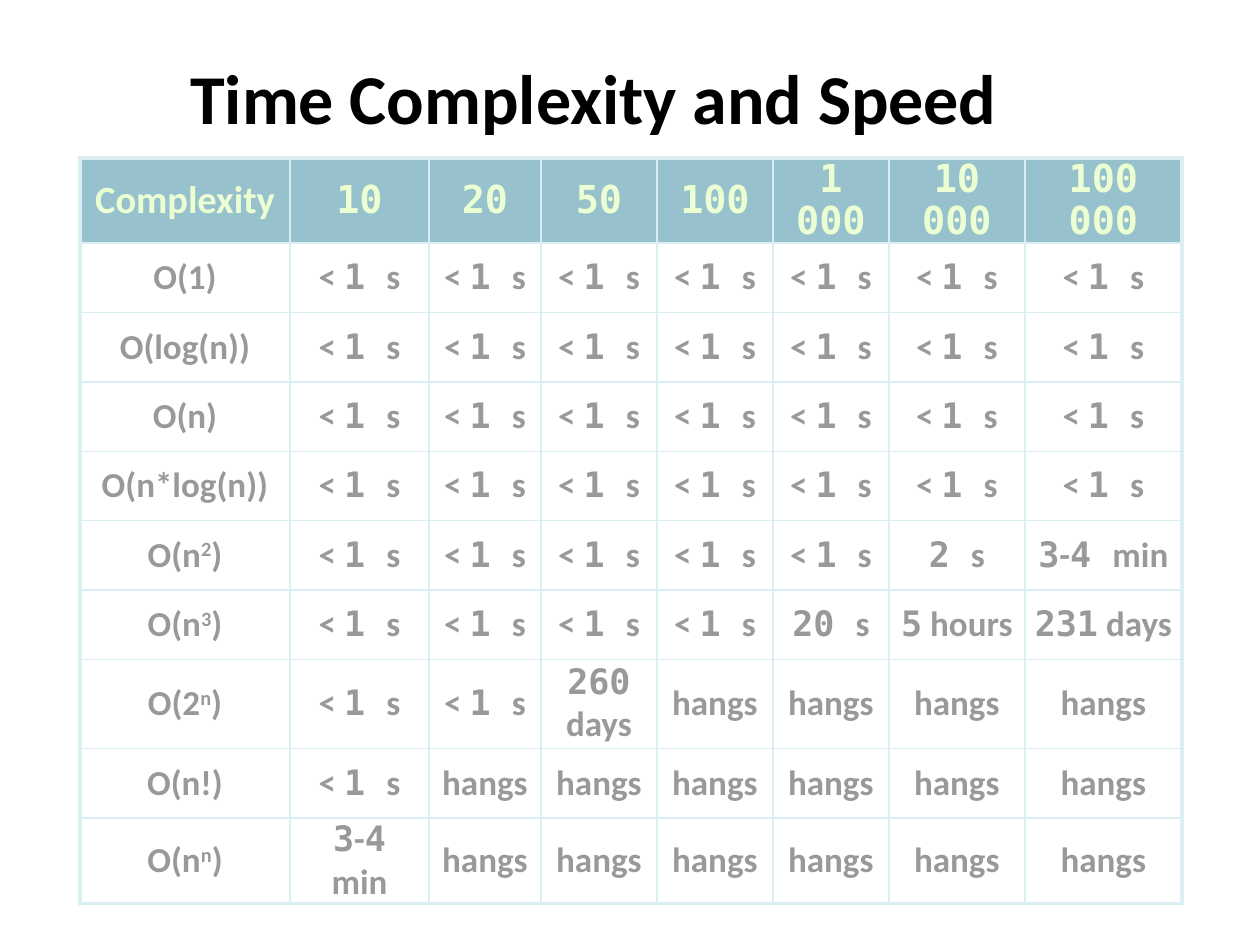
import pptx
import pptx.dml.color
import pptx.enum.text
import pptx.oxml
import pptx.oxml.ns
import pptx.util
from lxml import etree

COLORS = {
    "title": "000000",
    "header_fill": "31859C",
    "header_text": "EBFFD2",
    "body_text": "999999",
    "border": "DBEEF4",
}
TEXT_FONT = "Calibri"
NUMBER_FONT = "DejaVu Sans Mono"
PIXEL = 914400 / 126

# Runs are divided by "|"; a run that starts with a digit is set in the
# number font, and one that starts with "^" is raised.
FAST = "< |1 |s"
MINUTES = "3|-|4 |min"
HANGS = "hangs"
ROWS = [
    ["Complexity", "10", "20", "50", "100", "1 000", "10 000", "100 000"],
    ["O(1)"] + [FAST] * 7,
    ["O(log(n))"] + [FAST] * 7,
    ["O(n)"] + [FAST] * 7,
    ["O(n*log(n))"] + [FAST] * 7,
    ["O(n|^2|)"] + [FAST] * 5 + ["2 |s", MINUTES],
    ["O(n|^3|)"] + [FAST] * 4 + ["20 |s", "5| hours", "231| days"],
    ["O(2|^n|)"] + [FAST] * 2 + ["260 |days"] + [HANGS] * 4,
    ["O(n!)", FAST] + [HANGS] * 6,
    ["O(n|^n|)", MINUTES] + [HANGS] * 6,
]
COLUMN_WIDTHS = [210, 139, 112, 116, 116, 116, 136, 157]
TABLE_HEIGHT = 714
TALL_ROW, TALL_HEIGHT = 7, 89


def emu(pixels):
    """Turn pixels into EMU."""
    return pptx.util.Emu(round(pixels * PIXEL))


def rgb(name):
    """Look up a named colour."""
    return pptx.dml.color.RGBColor.from_string(COLORS[name])


def add_element(parent, tag, **attributes):
    """Append a DrawingML element and return it."""
    return etree.SubElement(parent, pptx.oxml.ns.qn(tag), attributes)


class SlideBuilder:
    """Holds the style and the current slide."""

    def __init__(self, presentation):
        """Add a title-only slide."""
        self.slide = presentation.slides.add_slide(presentation.slide_layouts[5])

    def style(self, paragraph, size, color):
        """Centre a paragraph and set its bold font."""
        paragraph.alignment = pptx.enum.text.PP_ALIGN.CENTER
        paragraph.font.size = pptx.util.Pt(size)
        paragraph.font.name = TEXT_FONT
        paragraph.font.bold = True
        paragraph.font.color.rgb = rgb(color)

    def title(self, text, left, top, width, height):
        """Place and format the title."""
        shape = self.slide.shapes.title
        shape.left, shape.top = emu(left), emu(top)
        shape.width, shape.height = emu(width), emu(height)
        frame = shape.text_frame
        frame.text = text
        frame.word_wrap = True
        frame.auto_size = pptx.enum.text.MSO_AUTO_SIZE.NONE
        frame.vertical_anchor = pptx.enum.text.MSO_ANCHOR.TOP
        paragraph = frame.paragraphs[0]
        self.style(paragraph, 40, "title")
        paragraph.line_spacing = 0.97

    def runs(self, paragraph, text):
        """Write marked-up text as runs."""
        for part in text.split("|"):
            run = paragraph.add_run()
            run.text = part.lstrip("^")
            if part.startswith("^"):
                run.font._element.set("baseline", "30000")
            elif part[0].isdigit():
                run.font.name = NUMBER_FONT

    def borders(self, cell, outer_sides):
        """Draw cell borders, thicker on the outer sides."""
        properties = cell._tc.get_or_add_tcPr()
        for index, side in enumerate("LRTB"):
            points = 2.25 if side in outer_sides else 1
            line = pptx.oxml.parse_xml(
                f'<a:ln{side} {pptx.oxml.ns.nsdecls("a")} w="{pptx.util.Pt(points)}">'
                f'<a:solidFill><a:srgbClr val="{COLORS["border"]}"/></a:solidFill>'
                f'</a:ln{side}>')
            properties.insert(index, line)

    def cell(self, cell, text, is_header):
        """Fill and format one cell."""
        cell.margin_left = cell.margin_right = emu(9)
        cell.margin_top = cell.margin_bottom = 0
        cell.vertical_anchor = pptx.enum.text.MSO_ANCHOR.MIDDLE
        paragraph = cell.text_frame.paragraphs[0]
        self.runs(paragraph, text)
        if is_header:
            self.style(paragraph, 22, "header_text")
            paragraph.line_spacing = 0.95
            spacing = paragraph._p.get_or_add_pPr().get_or_add_spcBef()
            add_element(spacing, "a:spcPct", val="40000")
            cell.fill.solid()
            cell.fill.fore_color.rgb = rgb("header_fill")
            color = cell._tc.tcPr.find(".//" + pptx.oxml.ns.qn("a:srgbClr"))
            add_element(color, "a:alpha", val="50000")
        else:
            self.style(paragraph, 20, "body_text")
            paragraph.space_before = paragraph.space_after = pptx.util.Pt(3)
            cell.fill.background()
        # Runs carry the paragraph's look so that every viewer shows it.
        for run in paragraph.runs:
            run.font.size = paragraph.font.size
            run.font.bold = True
            run.font.color.rgb = paragraph.font.color.rgb
            run.font.name = run.font.name or TEXT_FONT

    def table(self, rows, left, top):
        """Build the table with its header row."""
        last_row, last_column = len(rows) - 1, len(COLUMN_WIDTHS) - 1
        table = self.slide.shapes.add_table(
            len(rows), len(COLUMN_WIDTHS), emu(left), emu(top),
            emu(sum(COLUMN_WIDTHS)), emu(TABLE_HEIGHT)).table
        table.first_row = table.horz_banding = False
        for column, width in zip(table.columns, COLUMN_WIDTHS):
            column.width = emu(width)
        row_height = (TABLE_HEIGHT - TALL_HEIGHT) / last_row
        for row_index, texts in enumerate(rows):
            height = TALL_HEIGHT if row_index == TALL_ROW else row_height
            table.rows[row_index].height = emu(height)
            for column_index, text in enumerate(texts):
                cell = table.cell(row_index, column_index)
                self.cell(cell, text, row_index == 0)
                edges = {"L": column_index == 0, "R": column_index == last_column,
                         "T": row_index == 0, "B": row_index == last_row}
                self.borders(cell, [side for side in edges if edges[side]])


def main():
    """Build and save the presentation."""
    presentation = pptx.Presentation()
    presentation.slide_width, presentation.slide_height = emu(1260), emu(945)
    builder = SlideBuilder(presentation)
    builder.title("Time Complexity and Speed", 105, 53, 977, 126)
    builder.table(ROWS, 80, 158)
    presentation.save("out.pptx")


main()
